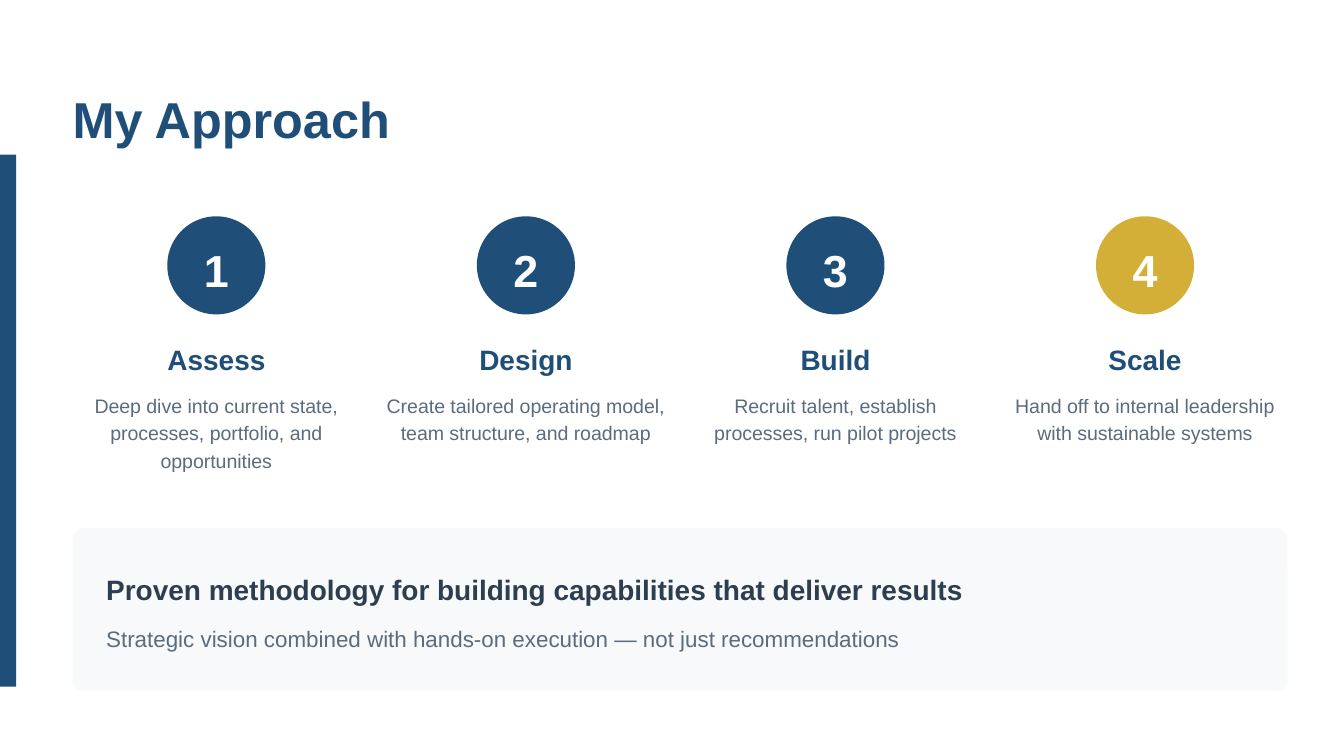
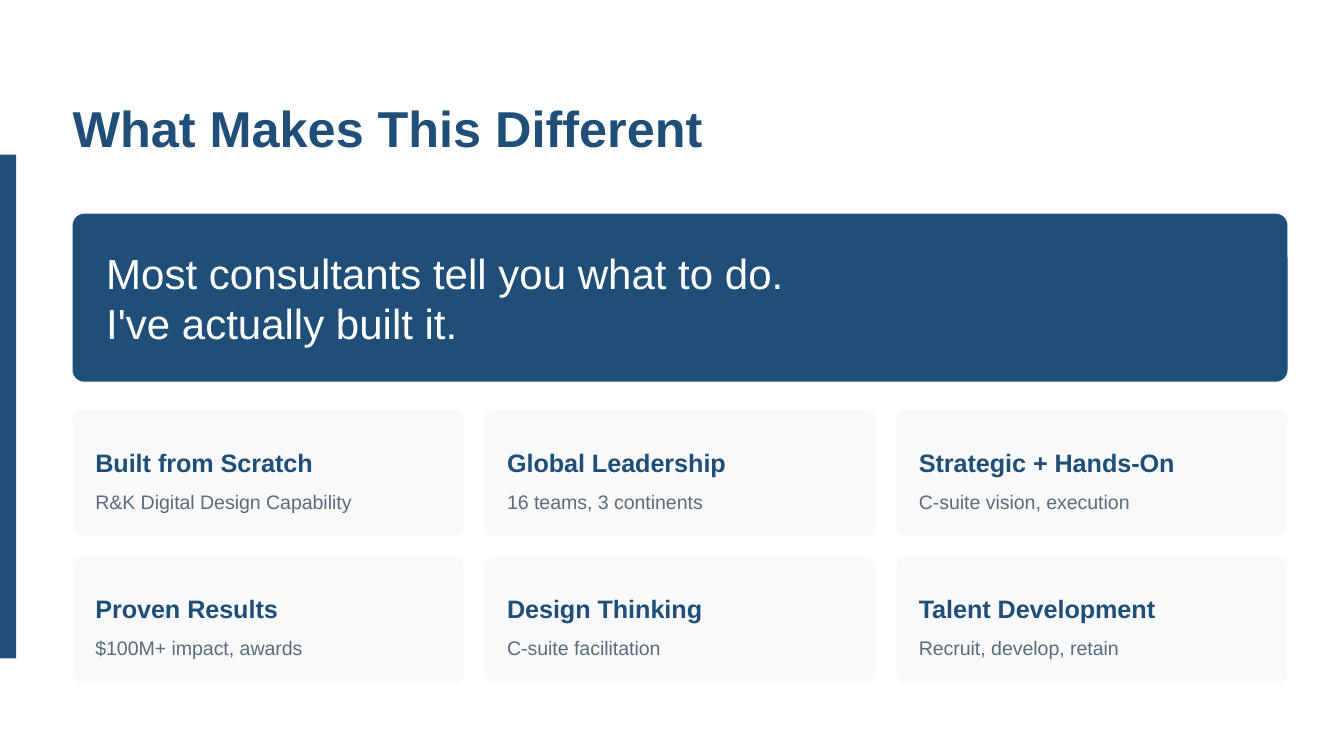
from pptx import Presentation
from pptx.dml.color import RGBColor
from pptx.enum.shapes import MSO_SHAPE
from pptx.enum.text import MSO_ANCHOR, PP_ALIGN
from pptx.util import Inches, Pt

RECTANGLE = MSO_SHAPE.RECTANGLE
ROUNDED = MSO_SHAPE.ROUNDED_RECTANGLE
LEFT = PP_ALIGN.LEFT
CENTER = PP_ALIGN.CENTER
TOP = MSO_ANCHOR.TOP
MIDDLE = MSO_ANCHOR.MIDDLE

FONT = "Arial"
COLORS = {
    "navy": "1F4E78",
    "gold": "D4AF37",
    "panel": "F8F9FA",
    "ink": "2C3E50",
    "slate": "5A6C7D",
    "white": "FFFFFF",
}
STYLES = {
    "title": {"size": 27, "color": "navy", "bold": True, "leading": 30},
    "number": {"size": 24, "color": "white", "bold": True, "leading": 33.6, "align": CENTER},
    "step_name": {"size": 15, "color": "navy", "bold": True, "leading": 21,
                  "before": 3, "after": 7.5, "align": CENTER},
    "step_detail": {"size": 10.5, "color": "slate", "leading": 14.7,
                    "before": 3, "after": 3, "align": CENTER},
    "claim": {"size": 15, "color": "ink", "bold": True, "leading": 21, "before": 3, "after": 6},
    "support": {"size": 12, "color": "slate", "leading": 18, "before": 3, "after": 3},
    "statement": {"size": 22.5, "color": "white", "leading": 27},
    "card_name": {"size": 13.5, "color": "navy", "bold": True, "leading": 21,
                  "before": 3, "after": 4.5},
    "card_detail": {"size": 10.5, "color": "slate", "leading": 15},
}

MARGIN = 0.54
CONTENT_WIDTH = 9.04
PANEL_TEXT_LEFT = 0.79
PANEL_TEXT_WIDTH = 8.71

STEPS_LEFT, STEPS_WIDTH, STEP_WIDTH = 0.52, 9.09, 2.18
BADGE_SIZE = 0.73
STEPS = [
    ("Assess", "Deep dive into current state, processes, portfolio, and opportunities", "navy", 0.61),
    ("Design", "Create tailored operating model, team structure, and roadmap", "navy", 0.41),
    ("Build", "Recruit talent, establish processes, run pilot projects", "navy", 0.41),
    ("Scale", "Hand off to internal leadership with sustainable systems", "gold", 0.41),
]

CARD_COLUMNS, CARD_GAP = 3, 0.15
CARDS_TOP, CARD_HEIGHT, CARD_PADDING = 3.05, 0.94, 0.17
CARDS = [
    ("Built from Scratch", "R&K Digital Design Capability"),
    ("Global Leadership", "16 teams, 3 continents"),
    ("Strategic + Hands-On", "C-suite vision, execution"),
    ("Proven Results", "$100M+ impact, awards"),
    ("Design Thinking", "C-suite facilitation"),
    ("Talent Development", "Recruit, develop, retain"),
]


def color(name):
    return RGBColor.from_string(COLORS[name])


def write(shape, lines, style_name, anchor=TOP):
    style = STYLES[style_name]
    frame = shape.text_frame
    frame.word_wrap = True
    frame.vertical_anchor = anchor
    frame.margin_left = frame.margin_top = frame.margin_right = frame.margin_bottom = 0
    frame.text = "\n".join(lines)
    for paragraph in frame.paragraphs:
        paragraph.alignment = style.get("align", LEFT)
        paragraph.line_spacing = Pt(style["leading"])
        paragraph.space_before = Pt(style.get("before", 0))
        paragraph.space_after = Pt(style.get("after", 0))
        paragraph.font.name = FONT
        paragraph.font.size = Pt(style["size"])
        paragraph.font.bold = style.get("bold", False)
        paragraph.font.color.rgb = color(style["color"])


def add_text(slide, left, top, width, height, style_name, *lines):
    box = slide.shapes.add_textbox(Inches(left), Inches(top), Inches(width), Inches(height))
    write(box, lines, style_name)


def add_block(slide, left, top, width, height, fill, rounding=None):
    block = slide.shapes.add_shape(RECTANGLE if rounding is None else ROUNDED,
                                   Inches(left), Inches(top), Inches(width), Inches(height))
    block.shadow.inherit = False
    block.fill.solid()
    block.fill.fore_color.rgb = color(fill)
    block.line.fill.background()
    if rounding is not None:
        block.adjustments[0] = rounding
    return block


def add_panel(slide, left, top, width, height, fill="panel"):
    return add_block(slide, left, top, width, height, fill, 0.07)


def start_slide(deck, title, title_top, band_height):
    slide = deck.slides.add_slide(deck.slide_layouts[6])
    slide.background.fill.solid()
    slide.background.fill.fore_color.rgb = color("white")
    add_text(slide, MARGIN, title_top, 4.8, 0.42, "title", title)
    add_block(slide, 0, 1.15, 0.12, band_height, "navy")
    return slide


def add_step(slide, left, number, name, detail, badge_color, detail_height):
    badge = add_block(slide, left + (STEP_WIDTH - BADGE_SIZE) / 2, 1.61,
                      BADGE_SIZE, BADGE_SIZE, badge_color, 0.5)
    write(badge, [str(number)], "number", MIDDLE)
    add_text(slide, left, 2.51, STEP_WIDTH, 0.29, "step_name", name)
    add_text(slide, left, 2.9, STEP_WIDTH, detail_height, "step_detail", detail)


def add_card(slide, left, top, width, name, detail):
    add_panel(slide, left, top, width, CARD_HEIGHT)
    text_left, text_width = left + CARD_PADDING, 2.63
    add_text(slide, text_left, top + 0.21, text_width, 0.29, "card_name", name)
    add_text(slide, text_left, top + 0.56, text_width, 0.21, "card_detail", detail)


def build_approach(deck):
    slide = start_slide(deck, "My Approach", 0.69, 3.96)
    pitch = (STEPS_WIDTH - STEP_WIDTH) / (len(STEPS) - 1)
    for index, step in enumerate(STEPS):
        add_step(slide, STEPS_LEFT + index * pitch, index + 1, *step)
    add_panel(slide, MARGIN, 3.93, CONTENT_WIDTH, 1.21)
    add_text(slide, PANEL_TEXT_LEFT, 4.22, PANEL_TEXT_WIDTH, 0.29, "claim",
             "Proven methodology for building capabilities that deliver results")
    add_text(slide, PANEL_TEXT_LEFT, 4.6, PANEL_TEXT_WIDTH, 0.25, "support",
             "Strategic vision combined with hands-on execution — not just recommendations")


def build_difference(deck):
    slide = start_slide(deck, "What Makes This Different", 0.76, 3.75)
    add_panel(slide, MARGIN, 1.59, CONTENT_WIDTH, 1.25, "navy")
    add_text(slide, PANEL_TEXT_LEFT, 1.84, PANEL_TEXT_WIDTH, 0.75, "statement",
             "Most consultants tell you what to do.", "I've actually built it.")
    card_width = (CONTENT_WIDTH - (CARD_COLUMNS - 1) * CARD_GAP) / CARD_COLUMNS
    for index, card in enumerate(CARDS):
        row, column = divmod(index, CARD_COLUMNS)
        add_card(slide, MARGIN + column * (card_width + CARD_GAP),
                 CARDS_TOP + row * (CARD_HEIGHT + CARD_GAP), card_width, *card)


def main():
    deck = Presentation()
    deck.slide_width = Inches(10)
    deck.slide_height = Inches(10 * 9 / 16)
    build_approach(deck)
    build_difference(deck)
    deck.save("out.pptx")


if __name__ == "__main__":
    main()
